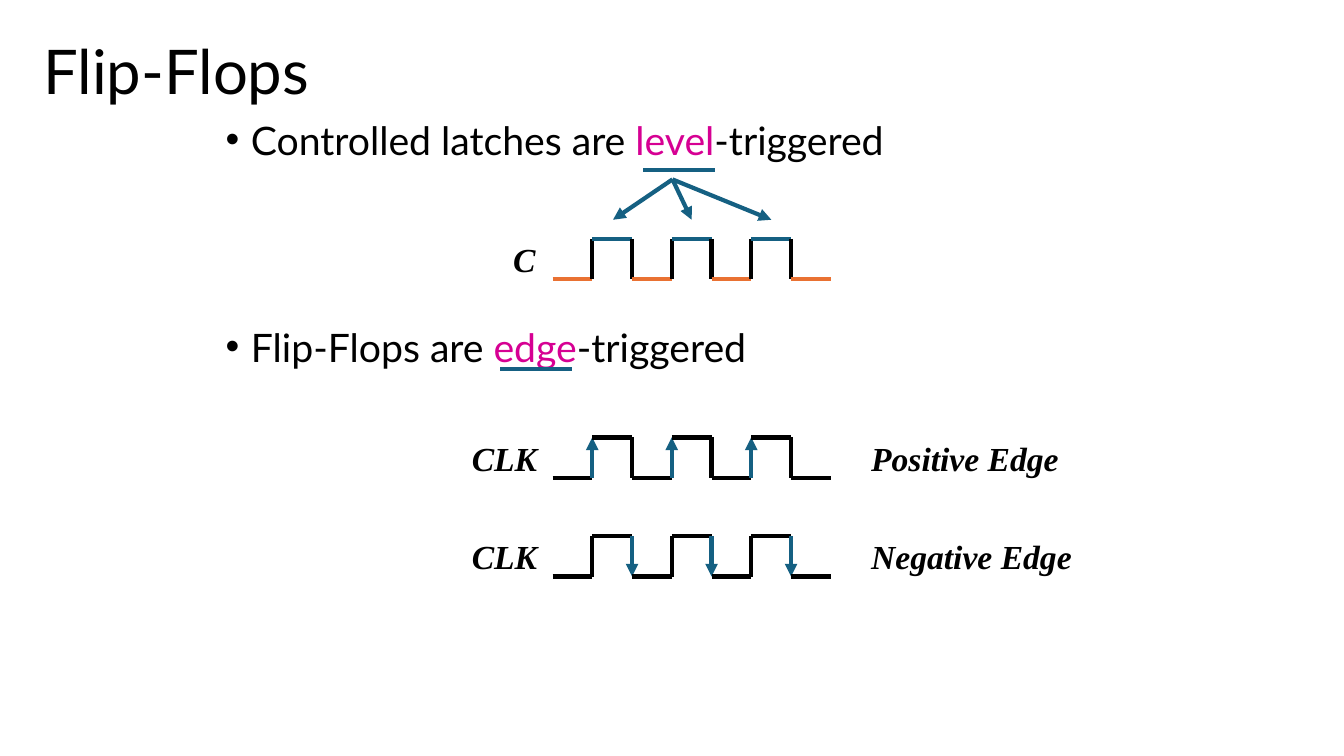
from lxml.etree import SubElement
from pptx import Presentation
from pptx.dml.color import RGBColor
from pptx.enum.shapes import MSO_CONNECTOR as Connector
from pptx.enum.text import MSO_ANCHOR as Anchor
from pptx.oxml.ns import qn
from pptx.util import Inches, Pt

COLORS = {
    "ink": "000000",
    "accent": "156082",
    "low": "E97132",
    "keyword": "D60093",
}
WAVE_LEFT, WAVE_RIGHT, PULSES = 5.48, 8.24, 3
STEP = (WAVE_RIGHT - WAVE_LEFT) / (2 * PULSES + 1)
WAVE_HEIGHT = 0.4


class SlideBuilder:
    body_font = "Lato"
    label_font = "Times New Roman"
    line_width = Pt(3)

    def __init__(self, slide):
        self.slide = slide

    def text_frame(self, left, top, width, height, wrap=True):
        box = self.slide.shapes.add_textbox(
            Inches(left), Inches(top), Inches(width), Inches(height))
        box.text_frame.word_wrap = wrap
        return box.text_frame

    def style(self, run, font_name, size, color="ink"):
        run.font.name = font_name
        run.font.size = Pt(size)
        run.font.color.rgb = RGBColor.from_string(COLORS[color])

    def title(self, text, left, top, width, height):
        frame = self.text_frame(left, top, width, height)
        frame.vertical_anchor = Anchor.MIDDLE
        frame.text = text
        paragraph = frame.paragraphs[0]
        paragraph.line_spacing = 0.9
        self.style(paragraph.runs[0], self.body_font, 44)

    def bullets(self, items, left, top, width, height):
        frame = self.text_frame(left, top, width, height)
        for index, (space_before, parts) in enumerate(items):
            paragraph = frame.add_paragraph() if index else frame.paragraphs[0]
            paragraph.line_spacing = 0.8
            paragraph.space_before = Pt(space_before)
            properties = paragraph._p.get_or_add_pPr()
            properties.set("marL", str(Inches(0.25)))
            properties.set("indent", str(Inches(-0.25)))
            SubElement(properties, qn("a:buFont"), typeface="Arial")
            SubElement(properties, qn("a:buChar"), char="•")
            for text, color in zip(parts, ("ink", "keyword", "ink")):
                run = paragraph.add_run()
                run.text = text
                self.style(run, self.body_font, 28, color)

    def label(self, text, left, top, width):
        frame = self.text_frame(left, top, width, 0.4, wrap=False)
        frame.margin_left = frame.margin_right = 0
        frame.margin_top = frame.margin_bottom = 0
        frame.text = text
        run = frame.paragraphs[0].runs[0]
        self.style(run, self.label_font, 24)
        run.font.bold = run.font.italic = True

    def line(self, start, end, color="accent", arrow=False):
        connector = self.slide.shapes.add_connector(
            Connector.STRAIGHT, *(Inches(value) for value in (*start, *end)))
        connector.line.width = self.line_width
        connector.line.color.rgb = RGBColor.from_string(COLORS[color])
        properties = connector.element.spPr
        if arrow:
            SubElement(properties.find(qn("a:ln")), qn("a:tailEnd"), type="triangle")
        SubElement(properties, qn("a:effectLst"))

    def wave(self, top, high="ink", low="ink", active_edge=None):
        bottom = top + WAVE_HEIGHT
        x = [WAVE_LEFT + STEP * index for index in range(2 * PULSES + 2)]
        self.line((x[0], bottom), (x[1], bottom), low)
        for pulse in range(PULSES):
            rise, fall, end = x[2 * pulse + 1:2 * pulse + 4]
            self.edge((rise, bottom), (rise, top), active_edge == "rise")
            self.line((rise, top), (fall, top), high)
            self.edge((fall, top), (fall, bottom), active_edge == "fall")
            self.line((fall, bottom), (end, bottom), low)

    def edge(self, start, end, active):
        self.line(start, end, "accent" if active else "ink", active)


def main():
    presentation = Presentation()
    presentation.slide_width = Inches(13.33)
    presentation.slide_height = Inches(7.5)
    slide = presentation.slides.add_slide(presentation.slide_layouts[6])
    builder = SlideBuilder(slide)

    builder.title("Flip-Flops", 0.33, 0.01, 11.5, 1.45)
    builder.bullets([
        (10, ("Controlled latches are ", "level", "-triggered")),
        (121, ("Flip-Flops are ", "edge", "-triggered")),
    ], 2.14, 1.19, 9.06, 2.63)

    builder.wave(2.37, high="accent", low="low")
    builder.label("C", 5.09, 2.37, 0.22)
    for target in (6.08, 6.86, 7.65):
        builder.line((6.67, 1.78), (target, 2.18), arrow=True)
    for left, y in ((6.38, 1.69), (4.96, 3.66)):
        builder.line((left, y), (left + 0.71, y))

    for top, active_edge, name in (
        (4.34, "rise", "Positive Edge"),
        (5.32, "fall", "Negative Edge"),
    ):
        builder.wave(top, active_edge=active_edge)
        builder.label("CLK", 4.68, top, 0.65)
        builder.label(name, 8.64, top, 2)

    presentation.save("out.pptx")


if __name__ == "__main__":
    main()
